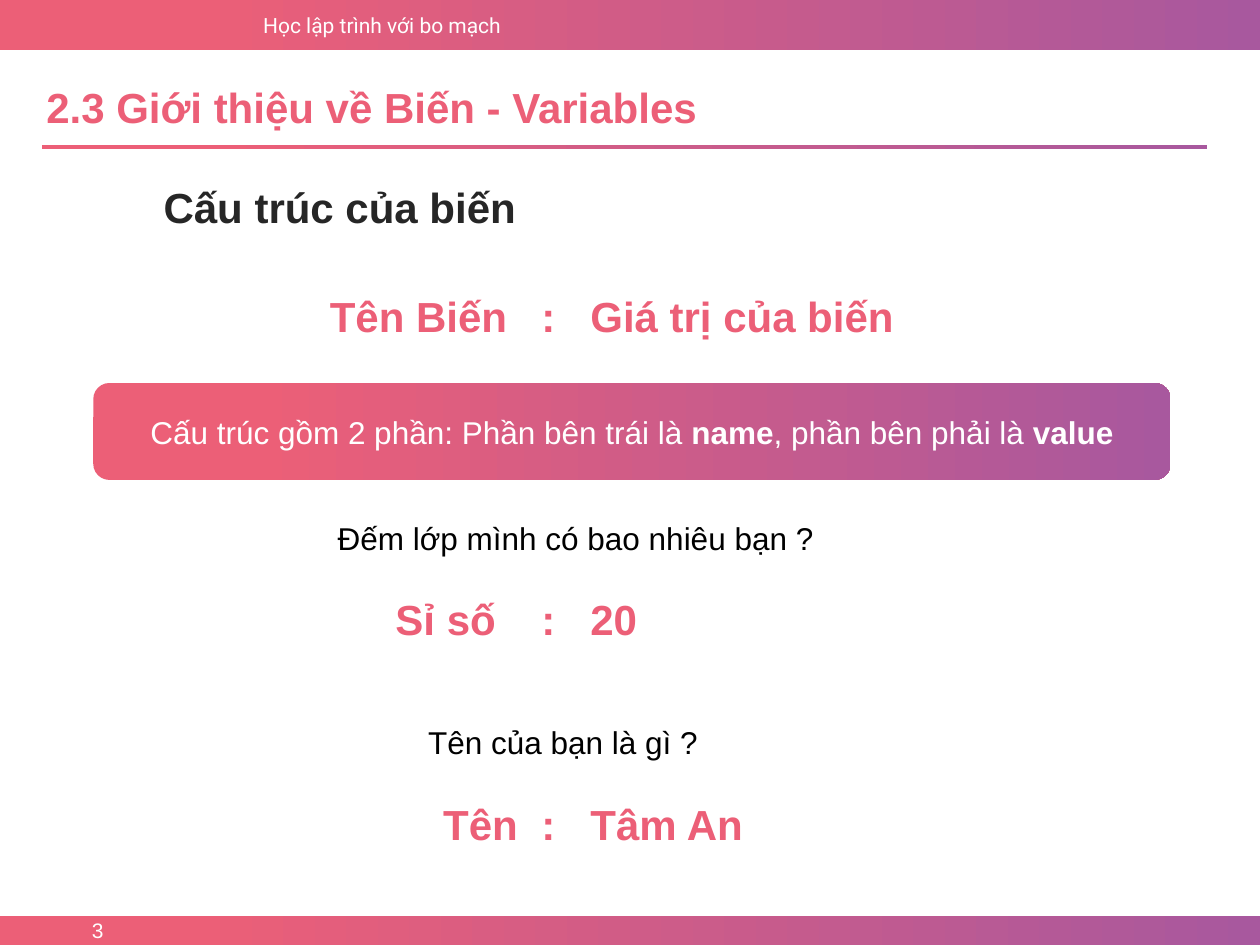
"""Build the slide that introduces variables as a name and a value."""
from dataclasses import dataclass

from lxml import etree
from pptx import Presentation
from pptx import util as u
from pptx.dml import color
from pptx.enum import shapes, text
from pptx.oxml import ns

PINK, PURPLE, WHITE, BLACK, DARK = "EC5F77", "A8589E", "FFFFFF", "000000", "262626"
INSET = 7.2
COLON_X, VALUE_X = 309.5, 337.5


@dataclass
class Box:
    left: float
    top: float
    width: float
    height: float

    def lengths(self):
        return [u.Pt(v) for v in (self.left, self.top, self.width, self.height)]


@dataclass
class Variable:
    box: Box
    name: str
    value: str


@dataclass
class Label:
    box: Box
    words: str
    style: dict


BAND = Box(0, 523.4, 720, 16.6)
BARS = [Box(0, 0, 720, 28.8), BAND, Box(23.8, 82.8, 666, 2.2)]
HEADING = dict(size=24, bold=True)
LABELS = [
    Label(Box(143.3, 3.6, 162, 21.6), "Học lập trình với bo mạch",
          dict(size=12, font="Roboto", hex_color=WHITE)),
    Label(Box(19.4, 43.2, 581, 36), "2.3 Giới thiệu về Biến - Variables",
          dict(HEADING, hex_color=PINK)),
    Label(Box(86.4, 100.1, 374.4, 36), "Cấu trúc của biến", dict(HEADING, hex_color=DARK)),
    Label(Box(185.8, 293, 288.7, 28.8), "Đếm lớp mình có bao nhiêu bạn ?", dict(wrap=False)),
    Label(Box(237.6, 409.7, 169.9, 28.8), "Tên của bạn là gì ?", dict(wrap=False)),
    Label(Box(0, BAND.top, 66.2, BAND.height), "3",
          dict(size=12, hex_color=WHITE, align=text.PP_ALIGN.RIGHT,
               anchor=text.MSO_ANCHOR.MIDDLE, grow=False)),
]
VARIABLES = [
    Variable(Box(181.4, 162.7, 398.9, 36), "Tên Biến", "Giá trị của biến"),
    Variable(Box(218.9, 335.5, 188.6, 36), "Sỉ số", "20"),
    Variable(Box(246.2, 452.9, 200.9, 36), "Tên", "Tâm An"),
]
STRUCTURE = [
    ("Cấu trúc gồm 2 phần: Phần bên trái là ", False),
    ("name", True),
    (", phần bên phải là ", False),
    ("value", True),
]


def rgb(value: str) -> color.RGBColor:
    return color.RGBColor.from_string(value)


def add_run(p, words: str, *, size=18, font="Arial", hex_color=BLACK, bold=False) -> None:
    r = p.add_run()
    r.text = words
    r.font.size, r.font.name, r.font.bold = u.Pt(size), font, bold
    r.font.color.rgb = rgb(hex_color)


def add_text(s, box: Box, words: str, *, align=text.PP_ALIGN.LEFT, anchor=text.MSO_ANCHOR.TOP,
             wrap=True, grow=True, tabs=(), **font_format) -> None:
    tf = s.shapes.add_textbox(*box.lengths()).text_frame
    tf.word_wrap, tf.vertical_anchor = wrap, anchor
    tf.auto_size = text.MSO_AUTO_SIZE.SHAPE_TO_FIT_TEXT if grow else text.MSO_AUTO_SIZE.NONE
    p = tf.paragraphs[0]
    p.alignment = align
    if tabs:
        tab_list = etree.SubElement(p._p.get_or_add_pPr(), ns.qn("a:tabLst"))
        for stop in tabs:
            etree.SubElement(tab_list, ns.qn("a:tab"), pos=str(u.Pt(stop)), algn="l")
    add_run(p, words, **font_format)


def add_gradient(s, box: Box, kind=shapes.MSO_SHAPE.RECTANGLE):
    sp = s.shapes.add_shape(kind, *box.lengths())
    sp.shadow.inherit = False
    sp.line.fill.background()
    sp.fill.gradient()
    sp.fill.gradient_angle = 0
    for stop, (position, tone) in zip(sp.fill.gradient_stops, ((0.15, PINK), (1, PURPLE))):
        stop.position, stop.color.rgb = position, rgb(tone)
    return sp


def add_variable(s, variable: Variable) -> None:
    start = variable.box.left + INSET
    add_text(s, variable.box, f"{variable.name}\t:\t{variable.value}",
             tabs=(COLON_X - start, VALUE_X - start), hex_color=PINK, **HEADING)


def add_structure(s) -> None:
    sp = add_gradient(s, Box(53.3, 218.9, 615.6, 55.4), shapes.MSO_SHAPE.ROUNDED_RECTANGLE)
    tf = sp.text_frame
    tf.word_wrap, tf.vertical_anchor = True, text.MSO_ANCHOR.MIDDLE
    p = tf.paragraphs[0]
    p.alignment = text.PP_ALIGN.CENTER
    for words, bold in STRUCTURE:
        add_run(p, words, bold=bold, hex_color=WHITE)


def main() -> None:
    prs = Presentation()
    prs.slide_width, prs.slide_height = u.Pt(720), u.Pt(540)
    s = prs.slides.add_slide(prs.slide_layouts[6])
    for bar in BARS:
        add_gradient(s, bar)
    for label in LABELS:
        add_text(s, label.box, label.words, **label.style)
    for variable in VARIABLES:
        add_variable(s, variable)
    add_structure(s)
    prs.save("out.pptx")


if __name__ == "__main__":
    main()
